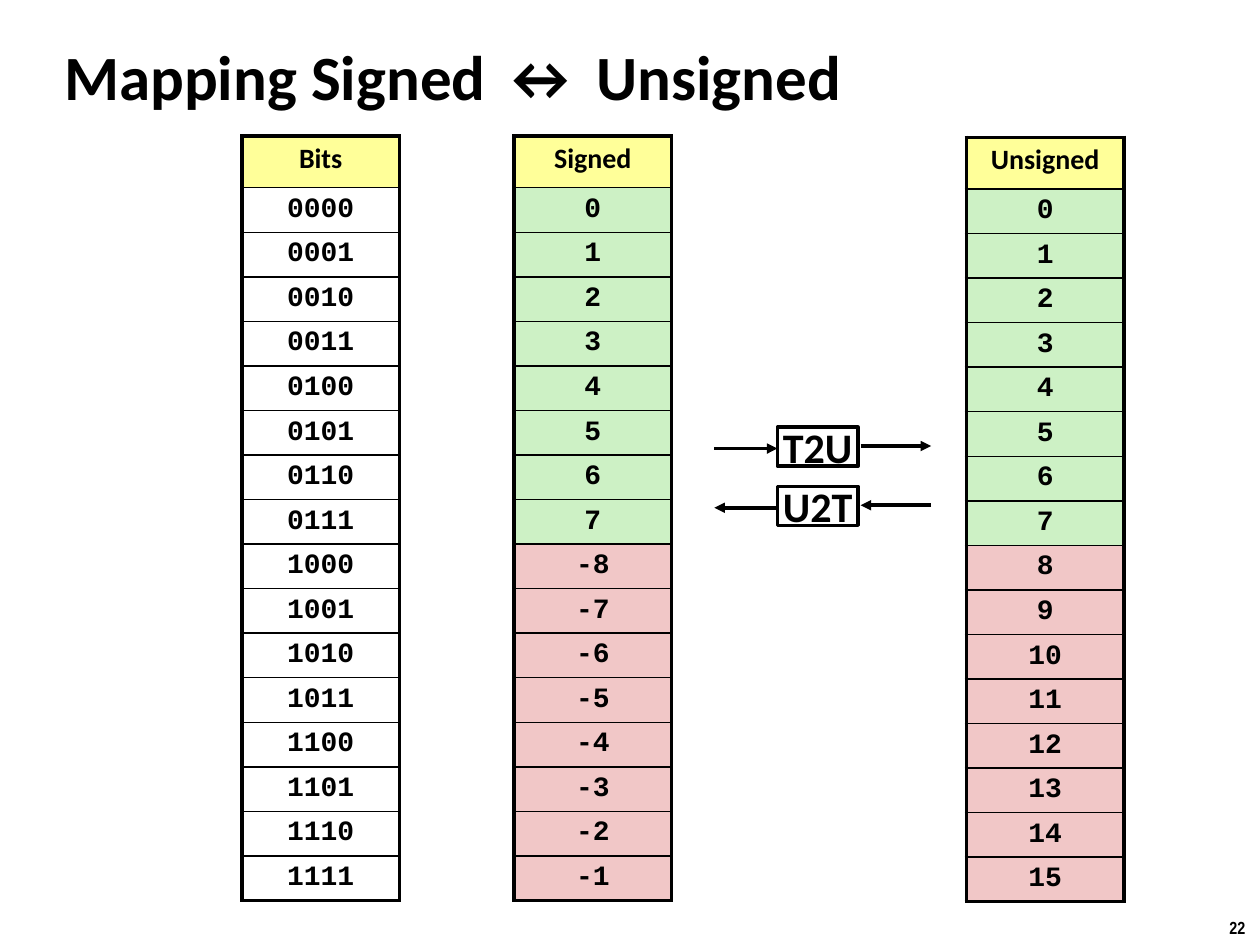
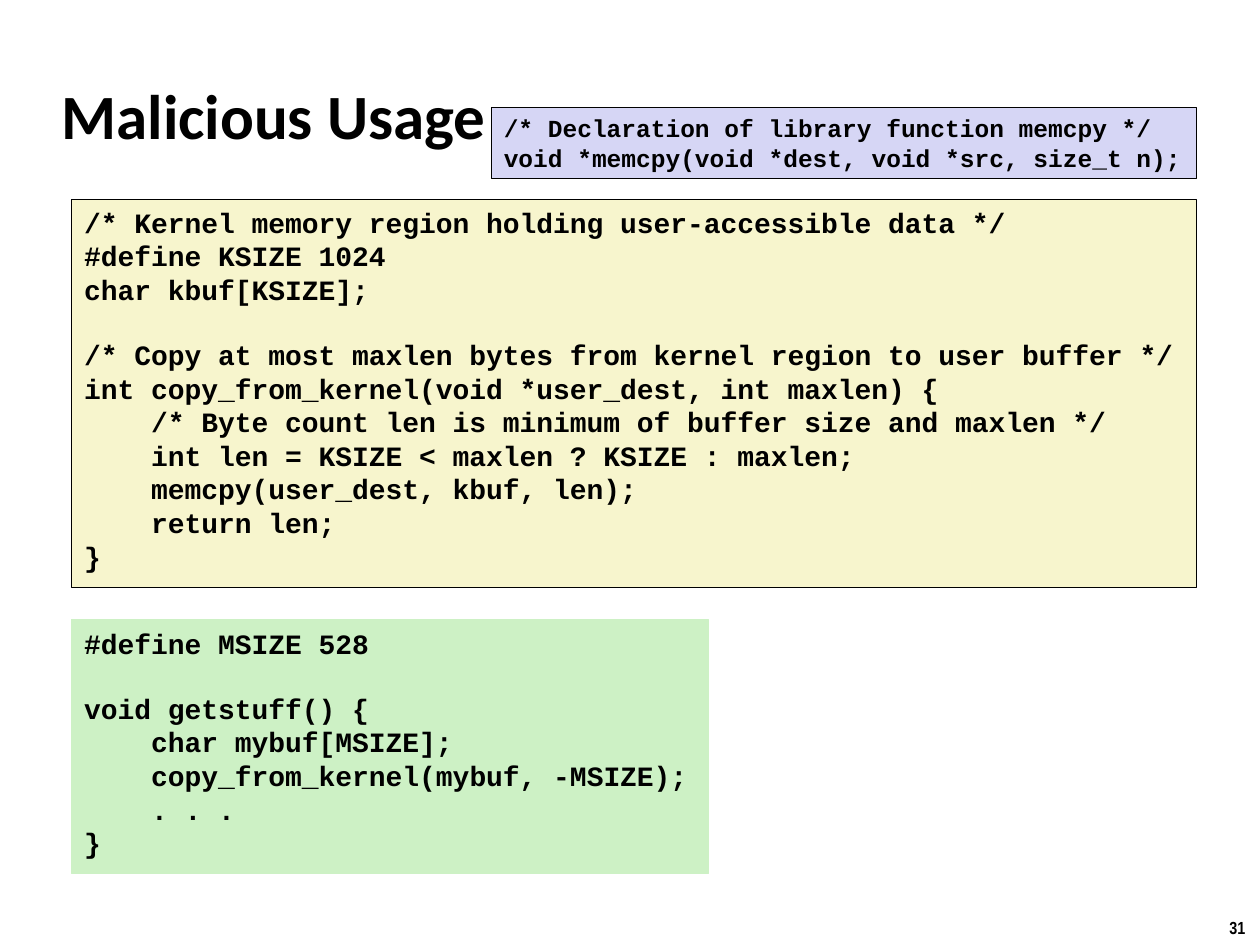
import pptx
import pptx.dml.color
import pptx.enum.shapes
import pptx.enum.text
import pptx.oxml
import pptx.oxml.ns
import pptx.util
from pptx.util import Inches

COLORS = {
    "ink": "000000",
    "paper": "FFFFFF",
    "header": "FFFF99",
    "same": "CDF1C5",
    "differs": "F1C7C7",
    "library": "D6D6F5",
    "kernel": "F7F5CD",
}
HEADING, CODE, FOOTER = "Calibri", "Courier New", "Arial Narrow"

# Mapping slide: heading, left, top, values, whether the halves are coloured
NUMBER_COLUMNS = [
    ("Signed", 4.08, 1.08, [*range(8), *range(-8, 0)], True),
    ("Unsigned", 7.67, 1.09, list(range(16)), True),
    ("Bits", 1.92, 1.08, [f"{n:04b}" for n in range(16)], False),
]
COLUMN_WIDTH, COLUMN_HEIGHT, HEADER_HEIGHT = 1.25, 6.07, 0.41

# Conversion, top of its box, whether its arrows point right
CONVERSIONS = [("U2T", 3.86, False), ("T2U", 3.39, True)]
CONVERSION_ARROWS = [(5.67, 6.17, 0.17), (6.83, 7.39, 0.15)]  # left, right, drop

# Code slide: position and size, fill, line, font size, code
LISTINGS = [
    ((0.57, 1.58, 8.93, 3.08), "kernel", "ink", 16, """\
/* Kernel memory region holding user-accessible data */
#define KSIZE 1024
char kbuf[KSIZE];

/* Copy at most maxlen bytes from kernel region to user buffer */
int copy_from_kernel(void *user_dest, int maxlen) {
    /* Byte count len is minimum of buffer size and maxlen */
    int len = KSIZE < maxlen ? KSIZE : maxlen;
    memcpy(user_dest, kbuf, len);
    return len;
}"""),
    ((0.57, 4.92, 5.05, 2.01), "same", "same", 16, """\
#define MSIZE 528

void getstuff() {
    char mybuf[MSIZE];
    copy_from_kernel(mybuf, -MSIZE);
    . . .
}"""),
    ((3.9, 0.85, 5.6, 0.57), "library", "ink", 14, """\
/* Declaration of library function memcpy */
void *memcpy(void *dest, void *src, size_t n);"""),
]
CODE_LINE_HEIGHT = 1.13  # in font sizes


def rgb(name):
    return pptx.dml.color.RGBColor.from_string(COLORS[name])


def style_paragraph(paragraph, font, size, align="LEFT"):
    paragraph.alignment = getattr(pptx.enum.text.PP_ALIGN, align)
    for run in paragraph.runs:
        run.font.name = font
        run.font.size = pptx.util.Pt(size)
        run.font.bold = True
        run.font.color.rgb = rgb("ink")


def set_frame(frame, inset_x, inset_y, anchor, wrap):
    frame.margin_left = frame.margin_right = Inches(inset_x)
    frame.margin_top = frame.margin_bottom = Inches(inset_y)
    frame.vertical_anchor = getattr(pptx.enum.text.MSO_ANCHOR, anchor)
    frame.word_wrap = wrap


def add_label(slide, box, text, font, size, insets=(0.1, 0.05), anchor="TOP", wrap=True):
    frame = slide.shapes.add_textbox(*map(Inches, box)).text_frame
    set_frame(frame, *insets, anchor, wrap)
    frame.text = text
    style_paragraph(frame.paragraphs[0], font, size)


def add_slide(deck, number, title, title_box, **title_options):
    slide = deck.slides.add_slide(deck.slide_layouts[6])
    slide.background.fill.solid()
    slide.background.fill.fore_color.rgb = rgb("paper")
    add_label(slide, (9.66, 7.23, 0.34, 0.27), str(number), FOOTER, 10, wrap=False)
    add_label(slide, title_box, title, HEADING, 36, **title_options)
    return slide


def add_box(slide, box, fill, line, line_width):
    shape = slide.shapes.add_shape(
        pptx.enum.shapes.MSO_SHAPE.RECTANGLE, *map(Inches, box))
    shape.shadow.inherit = False
    shape.fill.solid()
    shape.fill.fore_color.rgb = rgb(fill)
    shape.line.color.rgb = rgb(line)
    shape.line.width = pptx.util.Pt(line_width)
    return shape.text_frame


def add_arrow(slide, start_x, end_x, y):
    arrow = slide.shapes.add_connector(
        pptx.enum.shapes.MSO_CONNECTOR.STRAIGHT,
        *map(Inches, (start_x, y, end_x, y)))
    arrow.line.color.rgb = rgb("ink")
    arrow.line.width = pptx.util.Pt(2)
    properties = arrow.element.spPr
    head = pptx.oxml.parse_xml(
        f'<a:tailEnd {pptx.oxml.ns.nsdecls("a")} type="triangle"/>')
    properties.find(pptx.oxml.ns.qn("a:ln")).append(head)
    properties.append(pptx.oxml.parse_xml(
        f'<a:effectLst {pptx.oxml.ns.nsdecls("a")}/>'))


def set_borders(cell, widths):
    """Draw the cell's left, right, top and bottom borders, widths in points."""
    for place, (side, width) in enumerate(zip("LRTB", widths)):
        border = pptx.oxml.parse_xml(
            f'<a:ln{side} {pptx.oxml.ns.nsdecls("a")} w="{pptx.util.Pt(width)}">'
            f'<a:solidFill><a:srgbClr val="{COLORS["ink"]}"/></a:solidFill>'
            f'</a:ln{side}>')
        cell._tc.get_or_add_tcPr().insert(place, border)


def add_number_column(slide, heading, left, top, values, colored):
    entries = [heading, *values]
    table = slide.shapes.add_table(
        len(entries), 1, *map(Inches, (left, top, COLUMN_WIDTH, COLUMN_HEIGHT))).table
    table.first_row = table.horz_banding = False
    value_height = (COLUMN_HEIGHT - HEADER_HEIGHT) / len(values)
    last = len(values)
    for row, entry in enumerate(entries):
        table.rows[row].height = Inches(value_height if row else HEADER_HEIGHT)
        cell = table.cell(row, 0)
        cell.margin_left = cell.margin_right = Inches(0.05)
        cell.margin_top = cell.margin_bottom = Inches(0.05)
        cell.text_frame.text = str(entry)
        paragraph = cell.text_frame.paragraphs[0]
        paragraph.line_spacing = 0.95
        style_paragraph(paragraph, CODE if row else HEADING, 16, "CENTER")
        if row and not colored:
            cell.fill.background()
        else:
            cell.fill.solid()
            half = "same" if row <= last / 2 else "differs"
            cell.fill.fore_color.rgb = rgb(half if row else "header")
        set_borders(cell, (2.25, 2.25, 1 if row else 2.25, 2.25 if row == last else 1))


def add_conversion(slide, name, top, rightward):
    frame = add_box(slide, (6.17, top, 0.64, 0.31), "paper", "ink", 2)
    set_frame(frame, 0.1, 0.05, "MIDDLE", False)
    frame.text = name
    style_paragraph(frame.paragraphs[0], HEADING, 24, "CENTER")
    for left, right, drop in CONVERSION_ARROWS:
        start, end = (left, right) if rightward else (right, left)
        add_arrow(slide, start, end, top + drop)


def add_listing(slide, box, fill, line, size, code):
    """Show code in a box; a blank line becomes space before the next line."""
    frame = add_box(slide, box, fill, line, 0.5)
    set_frame(frame, 0.1, 0.05, "TOP", True)
    frame.text = code.replace("\n\n", "\n")
    block_starts = [block.split("\n")[0] for block in code.split("\n\n")[1:]]
    for paragraph in frame.paragraphs:
        if paragraph.text in block_starts:
            paragraph.space_before = pptx.util.Pt(size * CODE_LINE_HEIGHT)
        style_paragraph(paragraph, CODE, size)


def main():
    deck = pptx.Presentation()
    deck.slide_width, deck.slide_height = Inches(10), Inches(7.5)

    mapping = add_slide(deck, 22, "Mapping Signed ↔ Unsigned",
                        (0.44, 0.27, 7.46, 0.61), insets=(0.07, 0.03))
    for column in NUMBER_COLUMNS:
        add_number_column(mapping, *column)
    for conversion in CONVERSIONS:
        add_conversion(mapping, *conversion)

    malicious = add_slide(deck, 31, "Malicious Usage",
                          (0.39, 0.49, 8.3, 0.83), anchor="MIDDLE")
    for listing in LISTINGS:
        add_listing(malicious, *listing)

    deck.save("out.pptx")


if __name__ == "__main__":
    main()
